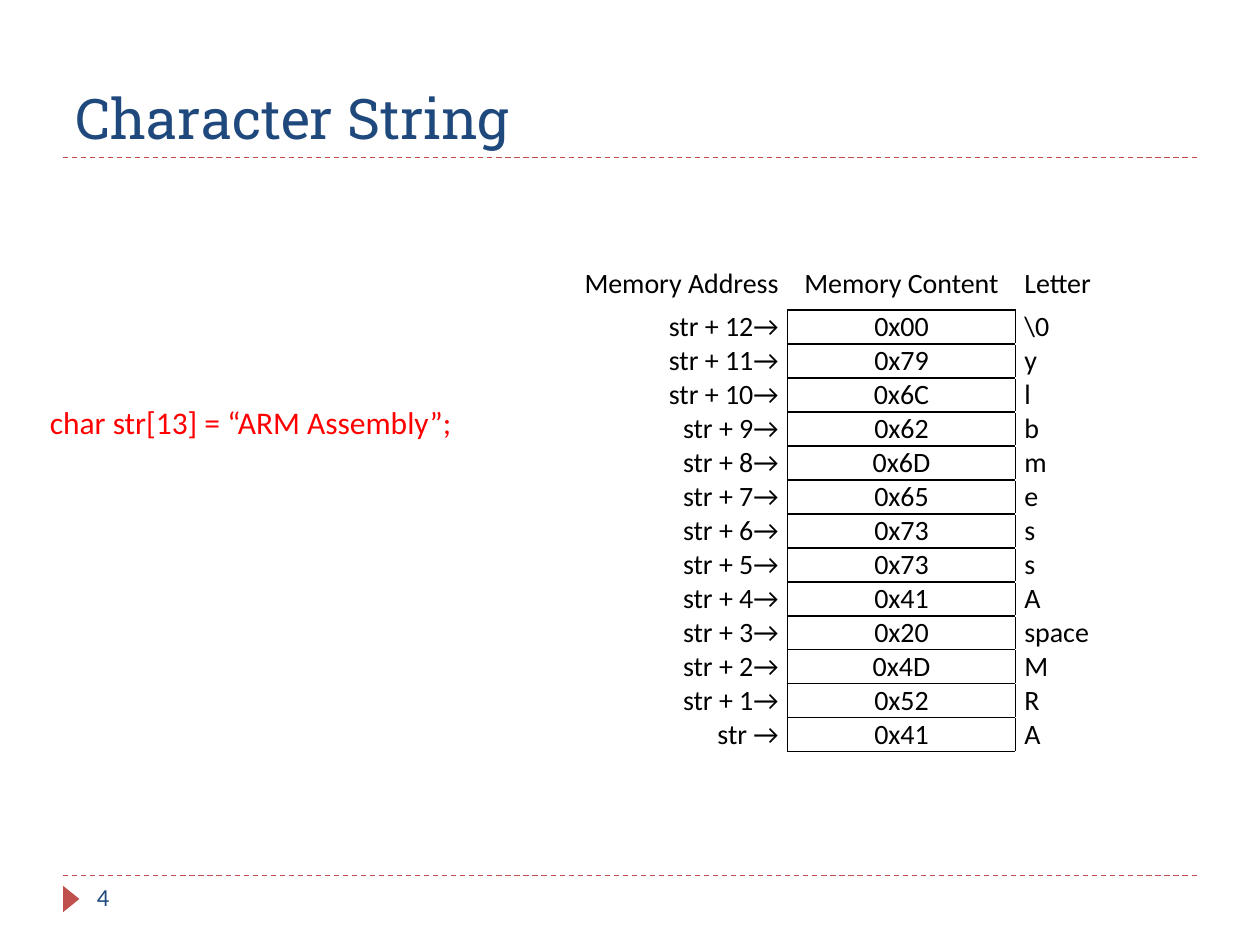
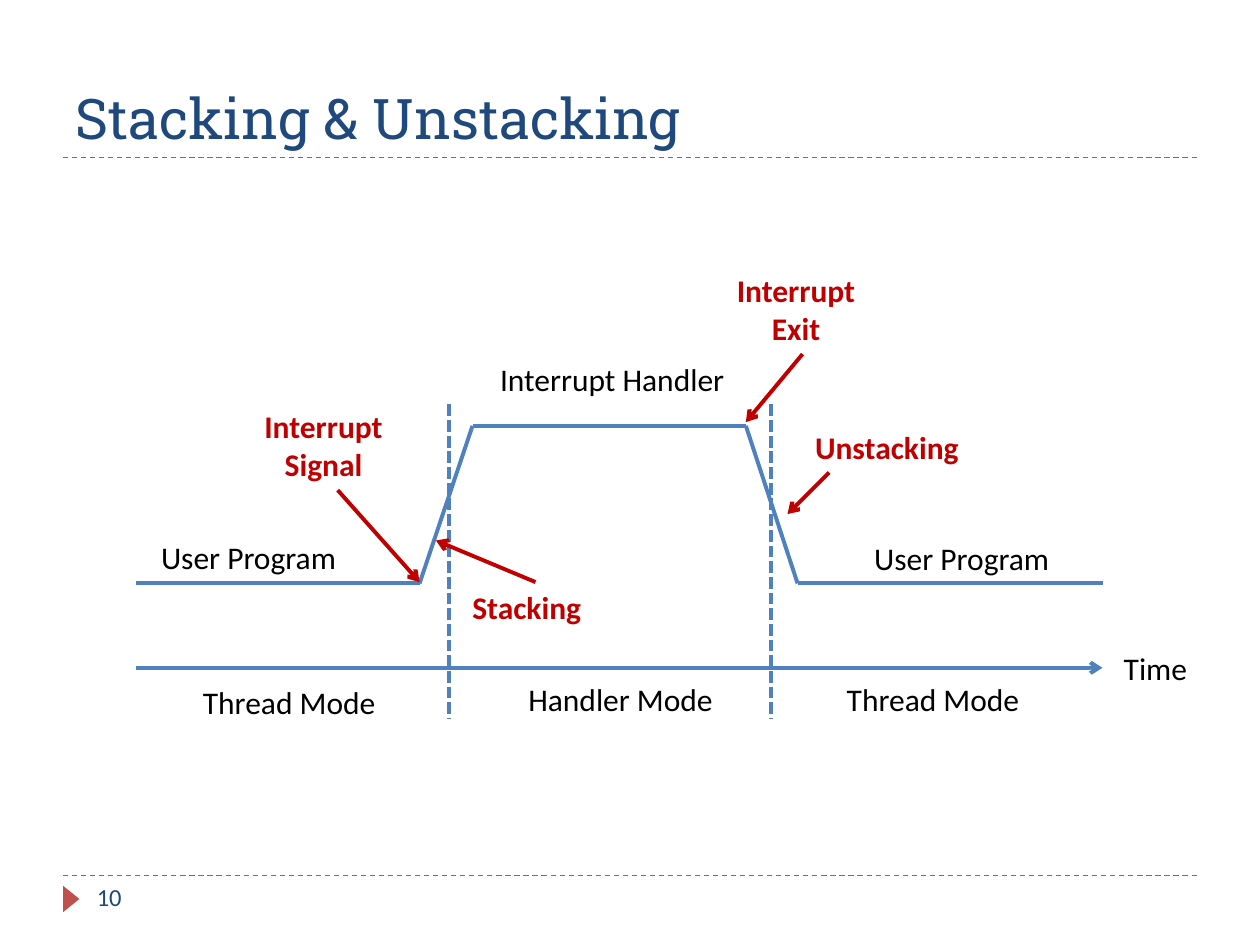
import collections

import lxml.etree
import pptx
import pptx.dml.color
import pptx.enum.dml
import pptx.enum.shapes
import pptx.enum.text
import pptx.oxml.ns
import pptx.util

PX = 9144  # 100 px to the inch
NAVY, BRICK, BLUE = "1F497D", "C0504D", "4F81BD"
BLACK, RED, DARK_RED = "000000", "FF0000", "C00000"
BODY_FONT, TITLE_FONT = "Calibri", "Roboto Slab"

DASH = pptx.enum.dml.MSO_LINE.DASH
SHORT_DASH = pptx.enum.dml.MSO_LINE.SQUARE_DOT
LEFT = pptx.enum.text.PP_ALIGN.LEFT
CENTER = pptx.enum.text.PP_ALIGN.CENTER
RIGHT = pptx.enum.text.PP_ALIGN.RIGHT
MIDDLE = pptx.enum.text.MSO_ANCHOR.MIDDLE
BOTTOM = pptx.enum.text.MSO_ANCHOR.BOTTOM

Box = collections.namedtuple("Box", "left top width height")


def px(length):
    return pptx.util.Emu(length * PX)


def emu(box):
    return [px(length) for length in box]


def color(value):
    return pptx.dml.color.RGBColor.from_string(value)


def sub(parent, tag, **attributes):
    return lxml.etree.SubElement(parent, pptx.oxml.ns.qn(tag), attributes)


def write(frame, words, size=18, ink=BLACK, font=BODY_FONT, bold=False, aligns=(LEFT,)):
    """Fill a text frame, one paragraph a line; the last alignment carries on."""
    for index, line in enumerate(words.split("\n")):
        para = frame.paragraphs[0] if index == 0 else frame.add_paragraph()
        para.alignment = aligns[min(index, len(aligns) - 1)]
        span = para.add_run()
        span.text = line
        span.font.size = pptx.util.Pt(size)
        span.font.name = font
        span.font.bold = bold
        span.font.color.rgb = color(ink)


def add_text(page, words, box, wrap=False, **style):
    frame = page.shapes.add_textbox(*emu(box)).text_frame
    frame.word_wrap = wrap
    frame.auto_size = pptx.enum.text.MSO_AUTO_SIZE.SHAPE_TO_FIT_TEXT
    write(frame, words, **style)


def add_line(page, start, end, ink=BLUE, width=2.25, dash=None, arrow=False):
    line = page.shapes.add_connector(
        pptx.enum.shapes.MSO_CONNECTOR.STRAIGHT, *emu(start + end))
    line.line.color.rgb = color(ink)
    line.line.width = pptx.util.Pt(width)
    if dash:
        line.line.dash_style = dash
    properties = line._element.spPr
    if arrow:
        sub(properties.find(pptx.oxml.ns.qn("a:ln")), "a:tailEnd", type="arrow")
    sub(properties, "a:effectLst")


def add_page(deck, title, number):
    """Start a slide with its title, dashed rules and page number."""
    page = deck.slides.add_slide(deck.slide_layouts[5])
    for y in (695, 125):
        add_line(page, (50, y), (950, y), ink=BRICK, width=0.75, dash=DASH)

    marker = page.shapes.add_shape(
        pptx.enum.shapes.MSO_SHAPE.ISOSCELES_TRIANGLE, *emu(Box(46, 707, 21, 13)))
    marker.rotation = 90
    marker.shadow.inherit = False
    marker.fill.solid()
    marker.fill.fore_color.rgb = color(BRICK)
    marker.line.fill.background()

    heading = page.shapes.title
    heading.left, heading.top, heading.width, heading.height = emu(Box(50, 17, 900, 108))
    heading.text_frame.vertical_anchor = BOTTOM
    write(heading.text_frame, title, size=32, ink=NAVY, font=TITLE_FONT)
    add_text(page, str(number), Box(67, 695, 217, 40), wrap=True, size=14, ink=NAVY)
    return page


def add_borders(cell, sides):
    for side in sides:
        edge = sub(cell._tc.get_or_add_tcPr(), "a:ln" + side, w=str(pptx.util.Pt(1)))
        sub(sub(edge, "a:solidFill"), "a:srgbClr", val=BLACK)


def memory_rows(string):
    """List address, content and letter of each byte, highest address first."""
    names = {"\0": "\\0", " ": "space"}
    rows = [("Memory Address", "Memory Content", "Letter")]
    for offset in reversed(range(len(string))):
        letter = string[offset]
        address = f"str + {offset}→" if offset else "str →"
        rows.append((address, f"0x{ord(letter):02X}", names.get(letter, letter)))
    return rows


def add_memory_table(page, box, string):
    rows = memory_rows(string)
    table = page.shapes.add_table(len(rows), 3, *emu(box)).table
    table.first_row = table.horz_banding = False
    for column, width in zip(table.columns, (208, 181, 95)):
        column.width = px(width)
    header_height = 41
    for index, row in enumerate(table.rows):
        row.height = px((box.height - header_height) // (len(rows) - 1) if index
                        else header_height)

    header_borders, byte_borders = ("", "B", ""), ("R", "LRTB", "L")
    for row, values in enumerate(rows):
        borders = byte_borders if row else header_borders
        for column, align in enumerate((RIGHT, CENTER, LEFT)):
            cell = table.cell(row, column)
            add_borders(cell, borders[column])
            cell.fill.background()
            cell.vertical_anchor = MIDDLE
            cell.margin_left = cell.margin_right = px(7)
            cell.margin_top = cell.margin_bottom = 0
            write(cell.text_frame, values[column], size=16, aligns=(align,))


def add_timeline(page, box):
    """Draw program level over time, with its modes and interrupt events."""
    def at(x, y):
        return box.left + x, box.top + y

    def label(words, x, y, width, height=40, **style):
        add_text(page, words, Box(*at(x, y), width, height), **style)

    axis, low, high = 320, 253, 128
    add_line(page, at(0, axis), at(box.width, axis), arrow=True)
    trace = [(0, low), (225, low), (267, high), (484, high), (525, low), (box.width, low)]
    for start, end in zip(trace, trace[1:]):
        add_line(page, at(*start), at(*end))
    for x in (248, 504):
        add_line(page, at(x, 111), at(x, box.height), dash=SHORT_DASH)

    label("Interrupt Handler", 279, 71, 202)
    label("User Program", 10, 212, 164)
    label("User Program", 576, 213, 164)
    for words, x, y, width in (
            ("Thread Mode", 14, 327, 215), ("Handler Mode", 277, 325, 215),
            ("Thread Mode", 525, 325, 215), ("Time", box.width, 300, 84)):
        label(words, x, y, width, wrap=True, aligns=(CENTER,))

    events = (
        ("Interrupt\nSignal", Box(92, 108, 137, 71), (160, 179), (225, 252)),
        ("Stacking", Box(257, 252, 121, 40), (317, 252), (238, 219)),
        ("Unstacking", Box(529, 125, 152, 40), (550, 165), (517, 198)),
        ("Interrupt\nExit", Box(467, 0, 137, 71), (529, 71), (484, 125)),
    )
    for words, place, start, end in events:
        label(words, *place, ink=DARK_RED, bold=True, aligns=(LEFT, CENTER))
        add_line(page, at(*start), at(*end), ink=DARK_RED, arrow=True)


def main():
    deck = pptx.Presentation()
    deck.slide_width, deck.slide_height = px(1000), px(750)

    page = add_page(deck, "Character String", 4)
    add_memory_table(page, Box(417, 205, 484, 392), "ARM Assembly\0")
    add_text(page, "char str[13] = “ARM Assembly”;", Box(25, 315, 348, 40),
             ink=RED, aligns=(CENTER,))

    page = add_page(deck, "Stacking & Unstacking", 10)
    add_timeline(page, Box(108, 210, 767, 361))

    deck.save("out.pptx")


if __name__ == "__main__":
    main()
